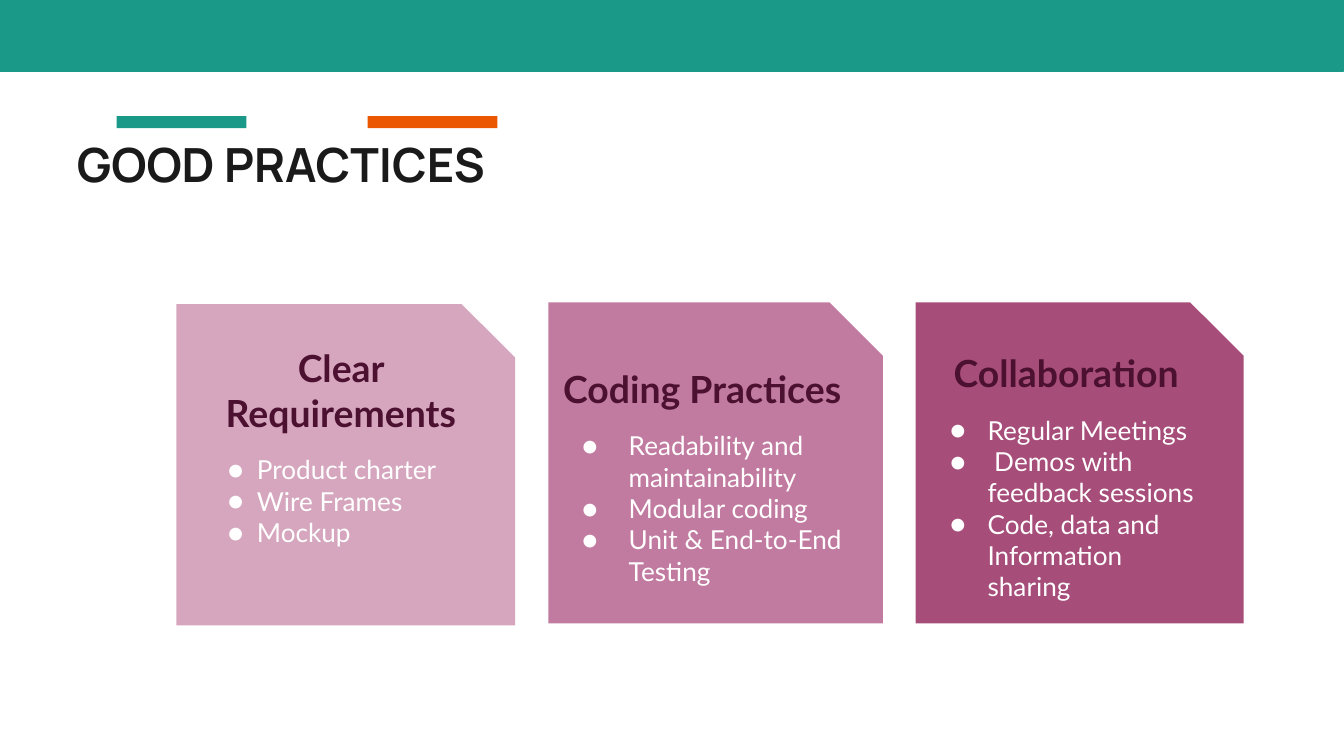
import pptx
import pptx.dml.color
import pptx.enum.shapes
import pptx.enum.text
import pptx.oxml
import pptx.oxml.ns
import pptx.util

Pt = pptx.util.Pt
SHAPE = pptx.enum.shapes.MSO_SHAPE
ALIGN = pptx.enum.text.PP_ALIGN
ANCHOR = pptx.enum.text.MSO_ANCHOR
TEAL, ORANGE, WHITE, PLUM, INK = "1A9988", "EB5600", "FFFFFF", "4C1130", "1A1A1A"

CARDS = [
    dict(box=(94.5, 163, 181.5, 172), fill="D5A6BD", title="Clear Requirements",
         items=["Product charter", "Wire Frames", "Mockup"],
         title_indent=9, indent=36, hang=15.5, bottom=40.8),
    dict(box=(293.75, 162, 179.25, 172), fill="C27BA0", title="Coding Practices",
         items=["Readability and maintainability", "Modular coding", "Unit & End-to-End Testing"],
         indent=36, hang=25),
    dict(box=(490.5, 162, 175.75, 172), fill="A64D79", title="Collaboration",
         items=["Regular Meetings", " Demos with feedback sessions", "Code, data and Information sharing"],
         indent=31.5, hang=20),
]


def rgb(value):
    """Turn a hex string into a colour."""
    return pptx.dml.color.RGBColor.from_string(value)


def add_text(p, text, *, size, color, font="Lato", bold=False, align=ALIGN.LEFT,
             indent=0, hang=0, before=0, bullet=False):
    """Fill a paragraph with one formatted run, with a bullet if asked."""
    pPr = p._p.get_or_add_pPr()
    pPr.set("marL", str(Pt(indent)))
    pPr.set("indent", str(-Pt(hang)))
    p.alignment = align
    p.space_before = Pt(before)
    if bullet:
        ns = pptx.oxml.ns.nsdecls("a")
        for xml in (f'<a:buClr {ns}><a:srgbClr val="{color}"/></a:buClr>',
                    f'<a:buFont {ns} typeface="{font}"/>',
                    f'<a:buChar {ns} char="●"/>'):
            pPr.append(pptx.oxml.parse_xml(xml))
    r = p.add_run()
    r.text = text
    r.font.name, r.font.size, r.font.bold = font, Pt(size), bold
    r.font.color.rgb = rgb(color)


def set_frame(tf, anchor, bottom=7.2):
    """Set wrapping, anchor and insets of a text frame."""
    tf.word_wrap = True
    tf.auto_size = pptx.enum.text.MSO_AUTO_SIZE.NONE
    tf.vertical_anchor = anchor
    tf.margin_left = tf.margin_top = tf.margin_right = Pt(7.2)
    tf.margin_bottom = Pt(bottom)


def add_box(s, box, fill, kind=SHAPE.RECTANGLE):
    """Add a flat filled shape without outline."""
    sp = s.shapes.add_shape(kind, *map(Pt, box))
    sp.shadow.inherit = False
    sp.fill.solid()
    sp.fill.fore_color.rgb = rgb(fill)
    sp.line.fill.background()
    return sp


def add_title(s, box, text):
    """Place the slide title in its box."""
    sp = s.shapes.title
    sp.left, sp.top, sp.width, sp.height = map(Pt, box)
    sp.line.color.rgb = rgb(WHITE)
    sp.line.width = Pt(1.5)
    set_frame(sp.text_frame, ANCHOR.TOP)
    add_text(sp.text_frame.paragraphs[0], text, size=25.2, color=INK, font="Manrope", bold=True)


def add_card(s, box, fill, title, items, indent, hang, title_indent=0, bottom=7.2):
    """Add a snipped card with a heading and a bullet list."""
    sp = add_box(s, box, fill, SHAPE.SNIP_1_RECTANGLE)
    tf = sp.text_frame
    set_frame(tf, ANCHOR.MIDDLE, bottom)
    add_text(tf.paragraphs[0], title, size=20, color=PLUM, bold=True,
             align=ALIGN.CENTER, indent=title_indent)
    for i, item in enumerate(items):
        add_text(tf.add_paragraph(), item, size=14, color=WHITE, indent=indent,
                 hang=hang, before=0 if i else 10, bullet=True)


def add_header(s, box):
    """Add the top band and the two accent bars below it."""
    left, top, width, height = box
    band = add_box(s, box, TEAL)
    band.line.color.rgb = rgb(TEAL)
    band.line.width = Pt(0.75)
    for offset, color in ((197.5, ORANGE), (63, TEAL)):
        add_box(s, (left + offset, top + height + 24, 69.5, 6.5), color)


def main():
    """Build the slide and save it."""
    prs = pptx.Presentation()
    prs.slide_width, prs.slide_height = Pt(720), Pt(405)
    s = prs.slides.add_slide(prs.slide_layouts[5])
    add_title(s, (34, 65.5, 605.5, 42.5), "GOOD PRACTICES")
    for card in CARDS:
        add_card(s, **card)
    add_header(s, (-0.5, 0, 720, 38.2))
    prs.save("out.pptx")


if __name__ == "__main__":
    main()
